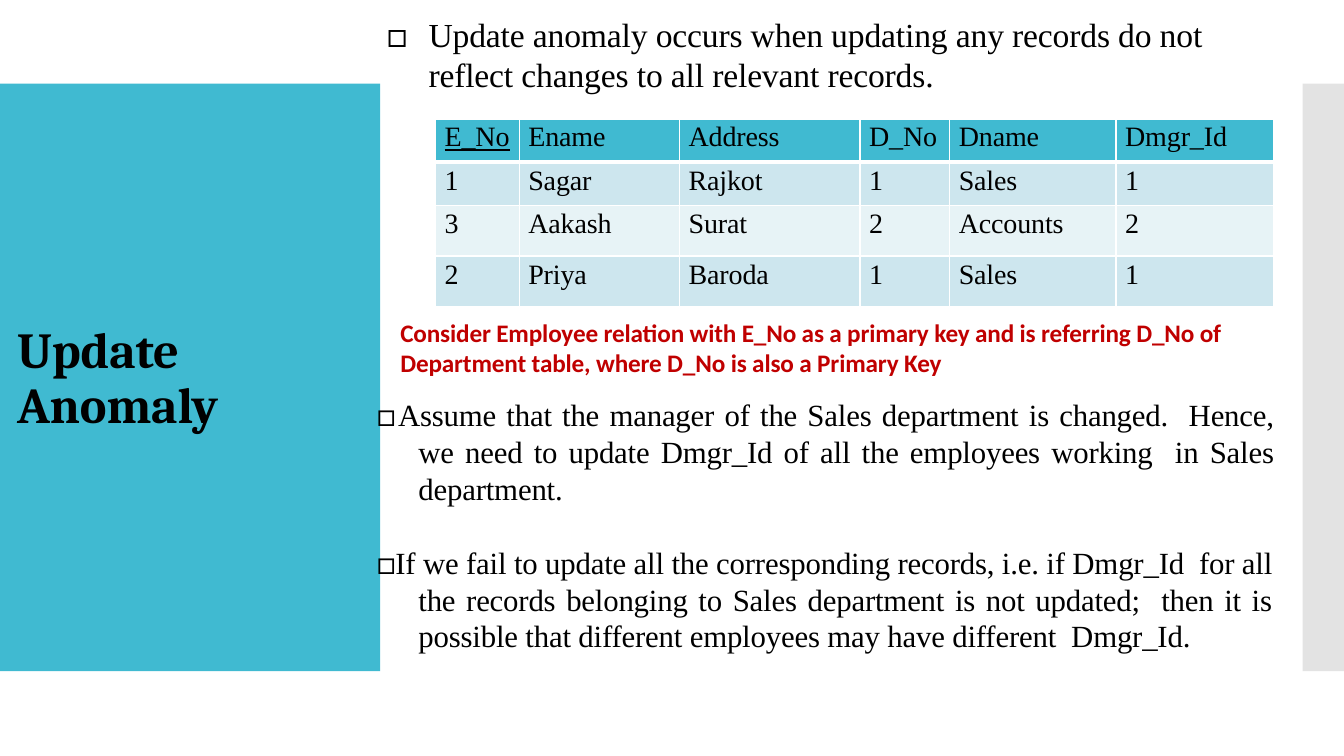
from lxml import etree
from pptx import Presentation
from pptx import util as u
from pptx.dml import color
from pptx.enum import shapes, text
from pptx.oxml import ns

BLACK, WHITE, TEAL, GREY, RED = "000000", "FFFFFF", "40BAD1", "E3E3E3", "C00000"
PALE, PALER = "CDE6EE", "E7F3F6"
SERIF, BULLET_FONT = "Times New Roman", "Lato"


def rgb(value):
    return color.RGBColor.from_string(value)


def child(parent, tag, **attrs):
    return etree.SubElement(parent, ns.qn(tag), attrs)


class Page:
    """Holds the slide and its text style."""

    def __init__(self, prs):
        self.s = prs.slides.add_slide(prs.slide_layouts[5])

    def style(self, run, size, font=SERIF, fill=BLACK, bold=False, spacing=-10):
        f = run.font
        f.size, f.name, f.bold = u.Pt(size), font, bold
        f.color.rgb = rgb(fill)
        run._r.get_or_add_rPr().set("spc", str(spacing))

    def frame(self, sp, top=0.01):
        tf = sp.text_frame
        tf.word_wrap = True
        tf.auto_size = text.MSO_AUTO_SIZE.NONE
        tf.vertical_anchor = text.MSO_ANCHOR.TOP
        tf.margin_left = tf.margin_right = tf.margin_bottom = 0
        tf.margin_top = u.Inches(top)
        return tf

    def band(self, left, width, fill):
        sp = self.s.shapes.add_shape(
            shapes.MSO_SHAPE.RECTANGLE,
            u.Inches(left), u.Inches(0.83), u.Inches(width), u.Inches(5.83))
        sp.shadow.inherit = False
        sp.fill.solid()
        sp.fill.fore_color.rgb = rgb(fill)
        sp.line.fill.background()
        self.s.shapes._spTree.insert(2, sp._element)  # behind the title

    def title(self, words, left, top, width, height):
        sp = self.s.shapes.title
        sp.left, sp.top = u.Inches(left), u.Inches(top)
        sp.width, sp.height = u.Inches(width), u.Inches(height)
        tf = self.frame(sp, 0.1)
        tf.text = words
        p = tf.paragraphs[0]
        p.alignment = text.PP_ALIGN.LEFT
        p.line_spacing = u.Pt(38.9)
        self.style(p.runs[0], 36, "Cambria", bold=True)

    def box(self, left, top, width, height, inset=0.01):
        sp = self.s.shapes.add_textbox(
            u.Inches(left), u.Inches(top), u.Inches(width), u.Inches(height))
        return self.frame(sp, inset).paragraphs[0]

    def hang(self, p):
        pPr = p._p.get_or_add_pPr()
        pPr.set("marL", str(u.Inches(0.42)))
        pPr.set("indent", str(u.Inches(-0.41)))
        return pPr

    def bullet(self, words, *place):
        p = self.box(*place, inset=0.03)
        p.text = words
        pPr = self.hang(p)
        child(pPr, "a:buFont", typeface=BULLET_FONT)
        child(pPr, "a:buChar", char="□")
        self.style(p.runs[0], 24)

    def justified(self, words, *place):
        # The mark sits in the line so that the text follows it closely
        p = self.box(*place)
        self.hang(p)
        p.alignment = text.PP_ALIGN.JUSTIFY
        for part, font, spacing in (("□ ", BULLET_FONT, -580), (words, SERIF, -10)):
            r = p.add_run()
            r.text = part
            self.style(r, 22, font, spacing=spacing)

    def note(self, words, *place):
        p = self.box(*place)
        p.text = words
        self.style(p.runs[0], 18, "Calibri", RED, bold=True)

    def borders(self, cell, row):
        tcPr = cell._tc.get_or_add_tcPr()
        fill = tcPr[0]
        for side in "LRTB":
            thick = (row, side) in ((0, "B"), (1, "T"))
            ln = etree.Element(ns.qn("a:ln" + side), w=str(u.Pt(3 if thick else 1)))
            child(child(ln, "a:solidFill"), "a:srgbClr", val=WHITE)
            fill.addprevious(ln)

    def table(self, rows, widths, heights, left, top):
        t = self.s.shapes.add_table(
            len(rows), len(widths), u.Inches(left), u.Inches(top),
            u.Inches(sum(widths)), u.Inches(sum(heights))).table
        for column, width in zip(t.columns, widths):
            column.width = u.Inches(width)
        for i, (values, height) in enumerate(zip(rows, heights)):
            t.rows[i].height = u.Inches(height)
            for j, value in enumerate(values):
                cell = t.cell(i, j)
                cell.margin_left, cell.margin_top = u.Inches(0.09), u.Inches(0.03)
                cell.margin_right = cell.margin_bottom = 0
                cell.fill.solid()
                cell.fill.fore_color.rgb = rgb(TEAL if i == 0 else PALE if i % 2 else PALER)
                self.borders(cell, i)
                cell.text_frame.text = value
                self.style(cell.text_frame.paragraphs[0].runs[0], 20)
        # The primary key is underlined
        t.cell(0, 0).text_frame.paragraphs[0].runs[0].font.underline = True


def main():
    prs = Presentation()
    prs.slide_width, prs.slide_height = u.Inches(13.33), u.Inches(7.5)
    page = Page(prs)

    # Side bands and title
    page.band(0, 3.77, TEAL)
    page.band(12.92, 0.41, GREY)
    page.title("Update Anomaly", 0.17, 3.12, 2.06, 1.17)

    # Definition
    page.bullet("Update anomaly occurs when updating any records do not "
                "reflect changes to all relevant records.", 3.83, 0.11, 8.88, 0.83)

    # Employee table and its note
    page.table(
        [("E_No", "Ename", "Address", "D_No", "Dname", "Dmgr_Id"),
         ("1", "Sagar", "Rajkot", "1", "Sales", "1"),
         ("3", "Aakash", "Surat", "2", "Accounts", "2"),
         ("2", "Priya", "Baroda", "1", "Sales", "1")],
        (0.83, 1.59, 1.79, 0.89, 1.65, 1.56), (0.43, 0.43, 0.5, 0.5), 4.32, 1.18)
    page.note("Consider Employee relation with E_No as a primary key and is referring "
              "D_No of Department table, where D_No is also a Primary Key",
              3.97, 3.14, 8.55, 0.63)

    # Consequences
    page.justified("Assume that the manager of the Sales department is changed.  Hence, "
                   "we need to update Dmgr_Id of all the employees working  in Sales "
                   "department.", 3.73, 3.92, 8.91, 1.13)
    page.justified("If we fail to update all the corresponding records, i.e. if Dmgr_Id  "
                   "for all the records belonging to Sales department is not updated;  "
                   "then it is possible that different employees may have different  "
                   "Dmgr_Id.", 3.73, 5.38, 8.89, 1.49)

    prs.save("out.pptx")


if __name__ == "__main__":
    main()
